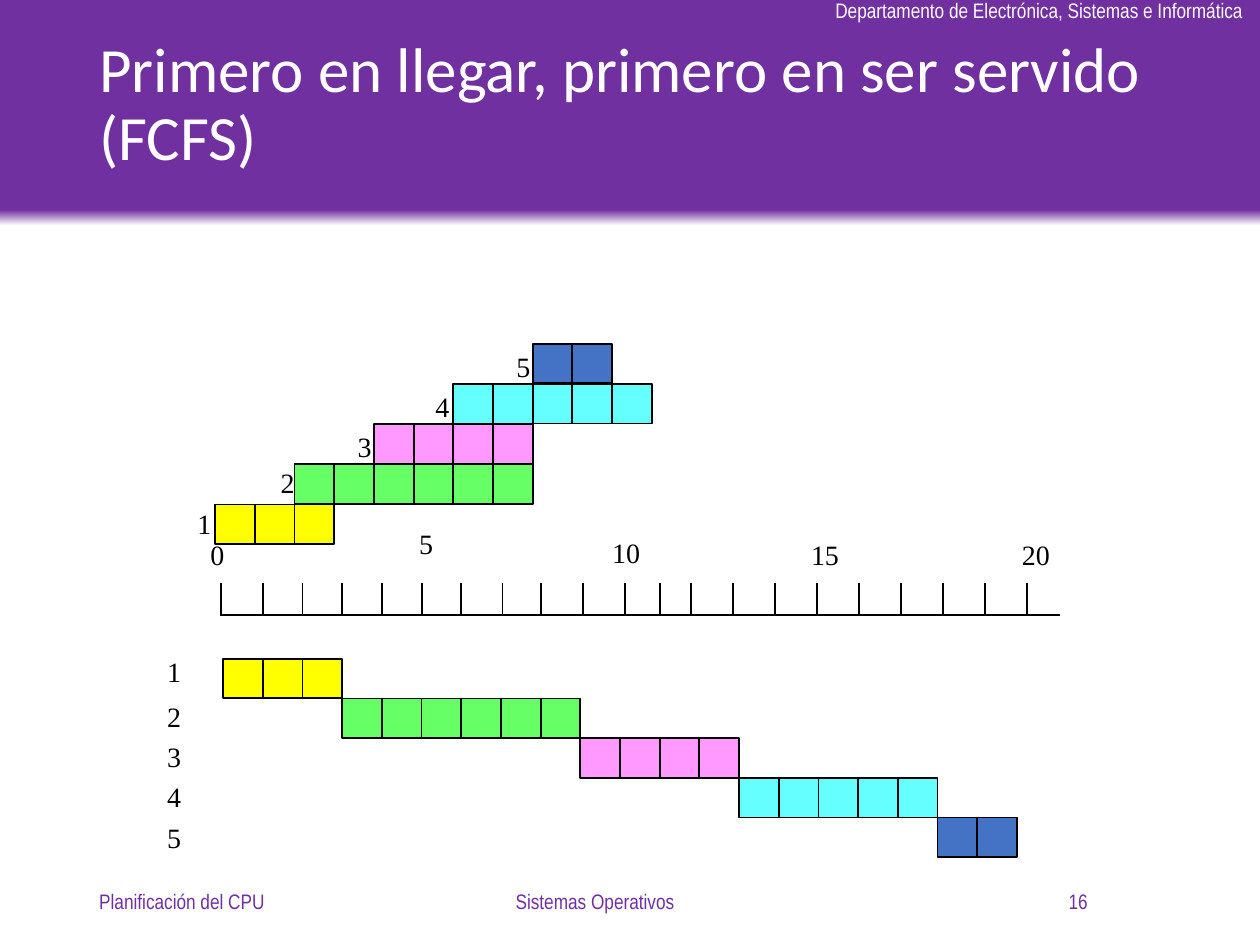
from copy import deepcopy
from dataclasses import dataclass

from pptx import Presentation
from pptx.dml.color import RGBColor
from pptx.enum.shapes import MSO_CONNECTOR, MSO_SHAPE
from pptx.enum.text import MSO_ANCHOR, MSO_AUTO_SIZE, PP_ALIGN
from pptx.oxml.ns import qn
from pptx.util import Cm, Pt

RECTANGLE = MSO_SHAPE.RECTANGLE
STRAIGHT = MSO_CONNECTOR.STRAIGHT
TOP, MIDDLE = MSO_ANCHOR.TOP, MSO_ANCHOR.MIDDLE
LEFT, CENTER, RIGHT = PP_ALIGN.LEFT, PP_ALIGN.CENTER, PP_ALIGN.RIGHT
FIXED, GROW = MSO_AUTO_SIZE.NONE, MSO_AUTO_SIZE.SHAPE_TO_FIT_TEXT
TITLE_ONLY = 5

COLORS = {
    "white": "FFFFFF",
    "black": "000000",
    "purple": "7030A0",
    "yellow": "FFFF00",
    "green": "66FF66",
    "pink": "FF99FF",
    "cyan": "66FFFF",
    "blue": "4472C4",
}
CELL = 0.8
ARRIVAL_LEFT, ARRIVAL_TOP, ARRIVAL_STEP = 4.34, 10.17, 0.81
SCHEDULE_LEFT, SCHEDULE_TOP = 4.5, 13.28
AXIS_TOP, AXIS_BOTTOM = 11.76, 12.41


@dataclass
class Process:
    name: str
    color: str
    arrival: int
    duration: int
    label_offset: tuple
    row_label_top: float


PROCESSES = [
    Process("1", "yellow", 0, 3, (-0.61, -0.09), 13.08),
    Process("2", "green", 2, 6, (-0.53, -0.09), 13.97),
    Process("3", "pink", 4, 4, (-0.58, -0.02), 14.78),
    Process("4", "cyan", 6, 5, (-0.61, -0.02), 15.6),
    Process("5", "blue", 8, 2, (-0.58, 0), 16.41),
]
FIRST_TICKS = [4.45, 5.3, 6.1, 6.9, 7.7, 8.5, 9.3, 10.13, 10.9, 11.75, 12.6, 13.3]
TICKS = FIRST_TICKS + [13.93 + 0.846 * step for step in range(9)]
AXIS_LABELS = [
    ("0", 3.99, 10.72),
    ("5", 8.2, 10.49),
    ("10", 12.09, 10.67),
    ("15", 16.1, 10.72),
    ("20", 20.35, 10.72),
]
FOOTERS = [
    ("Planificación del CPU", 1.75, 5.72, LEFT),
    ("Sistemas Operativos", 7.7, 8.59, CENTER),
    ("16", 16.46, 5.72, RIGHT),
]


def rgb(name):
    return RGBColor.from_string(COLORS[name])


def fill_text(frame, text, size=16, font="Times New Roman", color="black",
              align=LEFT, anchor=TOP, wrap=False, auto_size=GROW, spacing=None):
    frame.auto_size = auto_size
    frame.word_wrap = wrap
    frame.vertical_anchor = anchor
    para = frame.paragraphs[0]
    para.alignment = align
    para.line_spacing = spacing
    span = para.add_run()
    span.text = text
    span.font.size = Pt(size)
    span.font.name = font
    span.font.color.rgb = rgb(color)


def add_text(page, text, left, top, width=0.79, height=0.92, **style):
    box = page.shapes.add_textbox(Cm(left), Cm(top), Cm(width), Cm(height))
    fill_text(box.text_frame, text, **style)


def add_line(page, start_x, start_y, end_x, end_y):
    line = page.shapes.add_connector(
        STRAIGHT, Cm(start_x), Cm(start_y), Cm(end_x), Cm(end_y))
    line.line.color.rgb = rgb("black")
    line.line.width = Pt(1)
    properties = line._element.spPr
    properties.append(properties.makeelement(qn("a:effectLst"), {}))


def add_bar(page, left, top, process):
    for unit in range(process.duration):
        cell = page.shapes.add_shape(
            RECTANGLE, Cm(left + unit * CELL), Cm(top), Cm(CELL), Cm(CELL))
        cell.shadow.inherit = False
        cell.fill.solid()
        cell.fill.fore_color.rgb = rgb(process.color)
        cell.line.color.rgb = rgb("black")
        cell.line.width = Pt(1)


def add_header_band(page):
    band = page.shapes.add_shape(RECTANGLE, 0, 0, Cm(25.4), Cm(4.55))
    band.shadow.inherit = False
    band.line.fill.background()
    band.fill.gradient()
    band.fill.gradient_angle = 90
    edge, body = band.fill.gradient_stops
    edge.color.rgb = rgb("white")
    body.color.rgb = rgb("purple")
    stops = band._element.spPr.find(qn("a:gradFill")).find(qn("a:gsLst"))
    stops.append(deepcopy(stops[-1]))
    body.position = 0.07
    page.shapes._spTree.insert(2, band._element)


def add_title(page, text):
    title = page.shapes.title
    title.left, title.top = Cm(1.75), Cm(0.38)
    title.width, title.height = Cm(21.9), Cm(3.53)
    fill_text(title.text_frame, text, size=36, font="Calibri", color="white",
              anchor=MIDDLE, wrap=True, auto_size=FIXED, spacing=0.9)


def add_axis(page):
    add_line(page, 4.47, 12.4, 21.36, 12.4)
    for tick in TICKS:
        add_line(page, tick, AXIS_BOTTOM, tick, AXIS_TOP)
    for text, left, top in AXIS_LABELS:
        add_text(page, text, left, top, width=0.79 if len(text) == 1 else 1.07)


def add_schedule(page):
    elapsed = 0
    for row, process in enumerate(PROCESSES):
        add_bar(page, SCHEDULE_LEFT + elapsed * CELL, SCHEDULE_TOP + row * CELL, process)
        add_text(page, process.name, 3.12, process.row_label_top)
        elapsed += process.duration


def add_arrivals(page):
    for row, process in enumerate(PROCESSES):
        left = ARRIVAL_LEFT + process.arrival * CELL
        top = ARRIVAL_TOP - row * ARRIVAL_STEP
        shift_x, shift_y = process.label_offset
        add_bar(page, left, top, process)
        add_text(page, process.name, left + shift_x, top + shift_y)


def main():
    deck = Presentation()
    deck.slide_width, deck.slide_height = Cm(25.4), Cm(19.05)
    page = deck.slides.add_slide(deck.slide_layouts[TITLE_ONLY])
    add_header_band(page)
    add_title(page, "Primero en llegar, primero en ser servido (FCFS)")
    add_text(page, "Departamento de Electrónica, Sistemas e Informática",
             16.59, -0.18, 8.84, 0.76, size=12, font="Arial Narrow", color="white")
    for text, left, width, align in FOOTERS:
        add_text(page, text, left, 17.65, width, 1.02, size=12, font="Arial Narrow",
                 color="purple", align=align, anchor=MIDDLE, wrap=True, auto_size=FIXED)
    add_axis(page)
    add_schedule(page)
    add_arrivals(page)
    deck.save("out.pptx")


if __name__ == "__main__":
    main()
